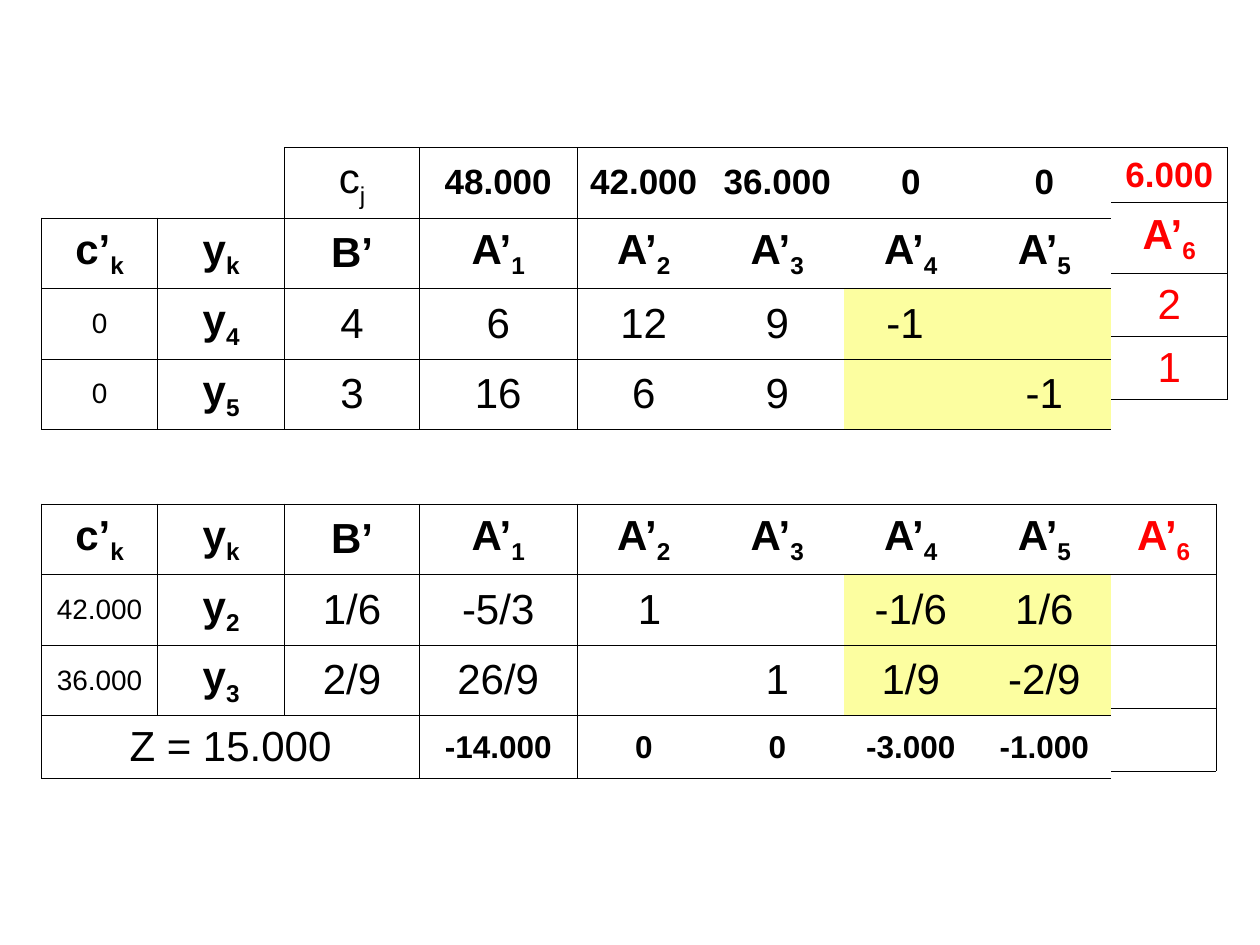
from dataclasses import dataclass
from lxml.etree import SubElement
from pptx import Presentation
from pptx.dml.color import RGBColor
from pptx.enum.text import MSO_ANCHOR, PP_ALIGN
from pptx.oxml.ns import qn
from pptx.util import Inches, Pt


@dataclass(frozen=True)
class Theme:
    font: str = "Arial"
    ink: str = "000000"
    accent: str = "FF0000"
    highlight: str = "FCFEA0"
    line: float = 0.45
    plain: tuple = (24, False)
    head: tuple = (24, True)
    cost: tuple = (20, True)
    total: tuple = (18, True)
    small: tuple = (16, False)
    subscript: str = "-25000"
    table_style: str = "{2D5ABB26-0587-4C30-8999-92F81FD0307C}"


@dataclass(frozen=True)
class Row:
    height: float
    sides: str
    styles: list
    texts: list
    highlighted: tuple = ()
    merged: int = 1


class Deck:
    def __init__(self, theme):
        self.theme = theme
        self.prs = Presentation()
        self.prs.slide_width, self.prs.slide_height = Inches(10), Inches(7.5)
        self.s = self.prs.slides.add_slide(self.prs.slide_layouts[6])

    def table(self, left, top, columns, rows, color):
        width = sum(w for w, _ in columns)
        height = sum(row.height for row in rows)
        sp = self.s.shapes.add_table(len(rows), len(columns), Inches(left),
                                     Inches(top), Inches(width), Inches(height))
        tbl = sp.table
        tbl.first_row = tbl.horz_banding = False
        next(sp._element.iter(qn("a:tableStyleId"))).text = self.theme.table_style
        for c, (w, _) in enumerate(columns):
            tbl.columns[c].width = Inches(w)
        for r, row in enumerate(rows):
            tbl.rows[r].height = Inches(row.height)
            for c, (_, sides) in enumerate(columns):
                cell = tbl.cell(r, c)
                text = row.texts[c]
                self.borders(cell, "B" if text is None else sides + row.sides)
                self.fill(cell, c in row.highlighted)
                if text:
                    self.label(cell, text, row.styles[c], color)
            if row.merged > 1:
                tbl.cell(r, 0).merge(tbl.cell(r, row.merged - 1))

    def borders(self, cell, sides):
        tcPr = cell._tc.get_or_add_tcPr()
        for side in "LRTB":
            if side in sides:
                ln = SubElement(tcPr, qn(f"a:ln{side}"), w=str(Pt(self.theme.line)))
                fill = SubElement(ln, qn("a:solidFill"))
                SubElement(fill, qn("a:srgbClr"), val=self.theme.ink)

    def fill(self, cell, highlighted):
        if highlighted:
            cell.fill.solid()
            cell.fill.fore_color.rgb = RGBColor.from_string(self.theme.highlight)
        else:
            cell.fill.background()

    def label(self, cell, text, style, color):
        cell.vertical_anchor = MSO_ANCHOR.MIDDLE
        p = cell.text_frame.paragraphs[0]
        p.alignment = PP_ALIGN.CENTER
        size, bold = style
        p.font.name, p.font.size, p.font.bold = self.theme.font, Pt(size), bold
        p.font.color.rgb = RGBColor.from_string(color)
        base, _, index = text.partition("_")
        p.add_run().text = base
        if index:
            r = p.add_run()
            r.text = index
            r.font._element.set("baseline", self.theme.subscript)

    def save(self):
        self.prs.save("out.pptx")


def main():
    t = Theme()
    deck = Deck(t)
    columns = [(0.92, "LR"), (1.01, "LR"), (1.07, "LR"), (1.25, "L")] + [(1.06, "")] * 4
    left, top_y, bottom_y = 0.33, 1.17, 4
    side_x = left + sum(w for w, _ in columns)
    head = Row(0.56, "TB", [t.head] * 8,
               ["c’_k", "y_k", "B’"] + [f"A’_{n}" for n in range(1, 6)])
    body = [t.small, t.head] + [t.plain] * 6
    slack = (6, 7)

    deck.table(left, top_y, columns, [
        Row(0.56, "TB", [t.plain] * 3 + [t.cost] * 5,
            [None, None, "c_j", "48.000", "42.000", "36.000", "0", "0"]),
        head,
        Row(0.56, "T", body, ["0", "y_4", "4", "6", "12", "9", "-1 ", ""], slack),
        Row(0.56, "B", body, ["0", "y_5", "3", "16", "6", "9", "", "-1"], slack),
    ], t.ink)
    deck.table(left, bottom_y, columns, [
        head,
        Row(0.56, "T", body,
            ["42.000", "y_2", "1/6", "-5/3", " 1", "", "-1/6", "1/6"], slack),
        Row(0.56, "B", body,
            ["36.000", "y_3", "2/9", "26/9", "", "1", "1/9", "-2/9"], slack),
        Row(0.5, "TB", [t.plain] * 3 + [t.total] * 5,
            ["Z = 15.000", "", "", "-14.000", "0", "0", "-3.000", "-1.000"], merged=3),
    ], t.ink)
    deck.table(side_x, top_y, [(0.92, "R")], [
        Row(0.44, "TB", [t.cost], ["6.000"]),
        Row(0.56, "TB", [t.head], ["A’_6"]),
        Row(0.5, "T", [t.plain], ["2"]),
        Row(0.5, "B", [t.plain], ["1"]),
    ], t.accent)
    deck.table(side_x, bottom_y, [(0.83, "R")], [
        Row(0.56, "TB", [t.head], ["A’_6"]),
        Row(0.56, "T", [t.plain], [""]),
        Row(0.5, "B", [t.plain], [""]),
        Row(0.5, "TB", [t.plain], [""]),
    ], t.accent)
    deck.save()


if __name__ == "__main__":
    main()
